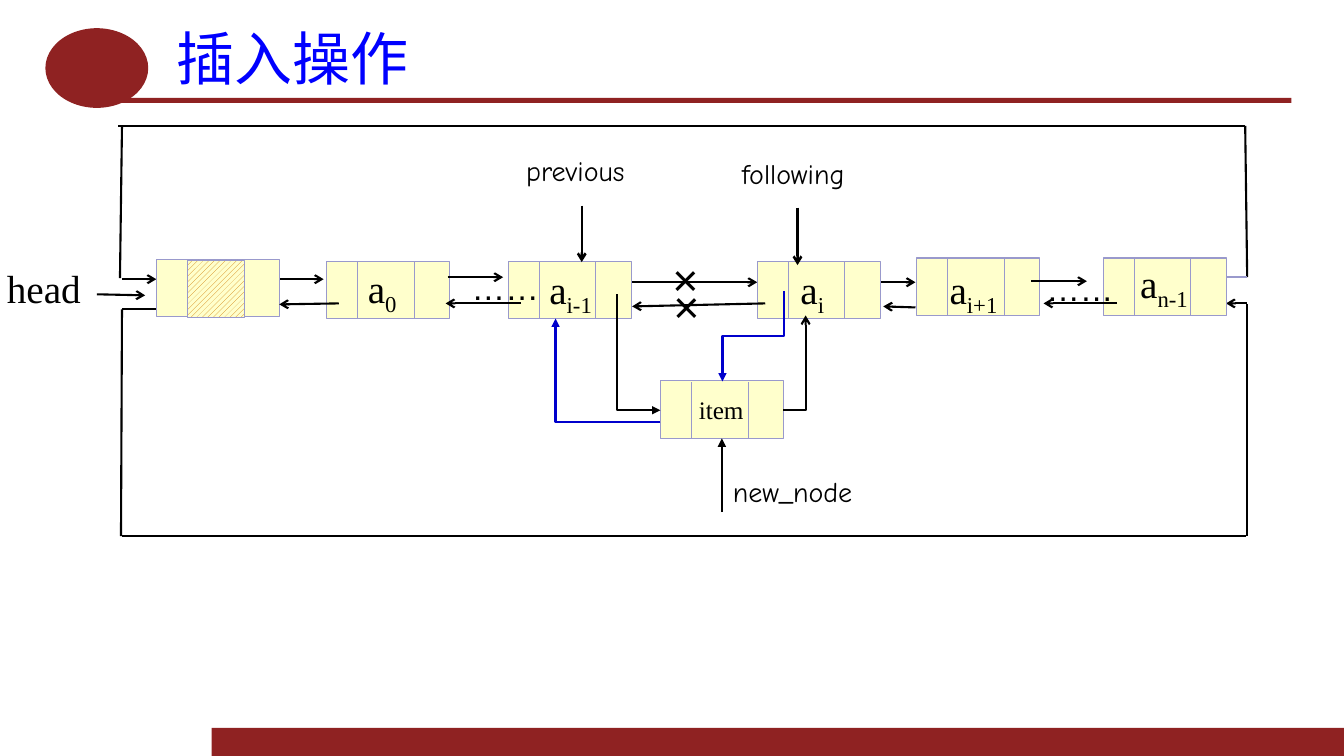
"""Build a slide showing insertion into a circular doubly linked list."""
from lxml import etree
from pptx import Presentation
from pptx.dml.color import RGBColor
from pptx.enum.dml import MSO_PATTERN
from pptx.enum.shapes import MSO_CONNECTOR, MSO_SHAPE
from pptx.enum.text import MSO_ANCHOR, PP_ALIGN
from pptx.oxml.ns import qn
from pptx.util import Inches, Pt

RECT, OVAL = MSO_SHAPE.RECTANGLE, MSO_SHAPE.OVAL
STRAIGHT, ELBOW = MSO_CONNECTOR.STRAIGHT, MSO_CONNECTOR.ELBOW
HATCH = MSO_PATTERN.WIDE_UPWARD_DIAGONAL
MIDDLE, JUSTIFY = MSO_ANCHOR.MIDDLE, PP_ALIGN.JUSTIFY

THEME = {
    "red": "8F2222", "title": "0000FF", "ink": "000000", "node": "FFFFCC",
    "edge": "9999CC", "hatch": "D07E06", "new": "0000CC",
    "serif": "Times New Roman", "sans": "Arial", "hand": "Comic Neue",
    "cjk": "Noto Sans CJK SC",
    "title_pt": 41.4, "cross_pt": 32, "node_pt": 28, "dots_pt": 24,
    "name_pt": 20, "item_pt": 18,
    "thin": 0.75, "wire": 1.5, "pointer": 1.75,
}
NODE_W, NODE_H = 1.22, 0.57
DIVIDERS = (0.31, 0.87)
SUBSCRIPT = "-25000"

DECOR = [
    (RECT, 2.1, 7.22, 11.23, 0.28),
    (RECT, 1.18, 0.97, 11.63, 0.05),
    (OVAL, 0.45, 0.28, 1.02, 0.79),
]
TITLE = ("插入操作", 1.62, 0.21, 11.19, 0.71)
NODES = {
    "head": (1.55, 2.57), "a0": (3.24, 2.59), "previous": (5.04, 2.59),
    "following": (7.51, 2.59), "next": (9.09, 2.56), "last": (10.94, 2.56),
    "item": (6.55, 3.78),
}
HATCHED = (1.86, 2.58, 0.57, 0.57)
LOOP = [
    (12.37, 3.02, 12.37, 5.32), (1.21, 3.07, 1.55, 3.07),
    (12.36, 5.32, 1.21, 5.32), (1.21, 3.07, 1.2, 5.32),
    (12.35, 1.25, 1.17, 1.25), (1.21, 1.25, 1.19, 2.76),
    (12.35, 1.25, 12.37, 2.75),
]
LAST_LINK = (11.92, 2.75, 12.37, 2.75)
BACK_ARROWS = [
    (2.77, 2.77, 3.21, 2.77), (6.17, 2.8, 7.51, 2.8),
    (8.64, 2.8, 9.08, 2.8), (1.21, 2.77, 1.55, 2.77),
    (0.96, 2.92, 1.44, 2.93), (9.08, 3.05, 8.76, 3.04),
    (12.37, 3.01, 12.16, 3.01),
]
FRONT_ARROWS = [
    (5.17, 3.01, 4.42, 3.01), (4.44, 2.75, 4.99, 2.75),
    (11.08, 3.01, 10.35, 3.01), (10.23, 2.79, 10.78, 2.79),
    (7.59, 3.01, 6.27, 3.04), (3.36, 3.01, 2.77, 3.02),
]
POINTERS = [(5.77, 2.04, 5.77, 2.6), (7.91, 2.06, 7.91, 2.63)]
NEW_POINTER = (7.16, 5.08, 7.16, 4.35)
BENDS = [
    ("bentConnector2", (7.77, 4.07, 7.99, 3.13), 0, "ink", "arrow"),
    ("bentConnector2", (6.19, 3.28, 5.76, 4.43), 270, "ink", "triangle"),
    ("bentConnector3", (7.02, 3.03, 7.92, 3.64), 90, "new", "triangle"),
    ("bentConnector2", (5.51, 3.16, 6.55, 4.19), 180, "new", "triangle"),
]
BENDS[1] = ("bentConnector2", (6.91, 3.28, 5.76, 3.71), 270, "ink", "triangle")
LABELS = [
    ("head", "", -0.03, 2.57, 0.94, 0.57, "serif", "node_pt"),
    ("……", "", 4.58, 2.6, 0.88, 0.5, "sans", "dots_pt"),
    ("……", "", 10.28, 2.61, 0.88, 0.5, "sans", "dots_pt"),
    ("a", "0", 3.55, 2.57, 0.51, 0.57, "serif", "node_pt"),
    ("a", "i", 7.84, 2.58, 0.45, 0.57, "serif", "node_pt"),
    ("a", "n-1", 11.21, 2.52, 0.95, 0.57, "serif", "node_pt"),
    ("a", "i-1", 5.35, 2.58, 0.67, 0.57, "serif", "node_pt"),
    ("a", "i+1", 9.32, 2.58, 0.73, 0.57, "serif", "node_pt"),
    (" item", "", 6.77, 3.86, 0.71, 0.4, "serif", "item_pt"),
    ("previous", "", 5.12, 1.47, 1.29, 0.44, "hand", "name_pt"),
    ("following", "", 7.26, 1.5, 1.36, 0.44, "hand", "name_pt"),
    ("new_node", "", 7.17, 4.66, 1.48, 0.44, "hand", "name_pt"),
    ("×", "", 6.57, 2.45, 0.65, 0.64, "sans", "cross_pt"),
    ("×", "", 6.58, 2.72, 0.65, 0.64, "sans", "cross_pt"),
]
WRAPPED = ("……", "n-1")


def color(name):
    return RGBColor.from_string(THEME[name])


def add_box(shapes, kind, box, fill, edge=None):
    sp = shapes.add_shape(kind, *map(Inches, box))
    sp.shadow.inherit = False
    sp.fill.solid()
    sp.fill.fore_color.rgb = color(fill)
    if edge:
        sp.line.color.rgb = color(edge)
        sp.line.width = Pt(THEME["thin"])
    else:
        sp.line.fill.background()
    return sp


def add_line(shapes, ends, ink="ink", width="wire", arrow=None, kind=STRAIGHT):
    line = shapes.add_connector(kind, *map(Inches, ends))
    line.line.color.rgb = color(ink)
    line.line.width = Pt(THEME[width])
    props = line._element.spPr
    etree.SubElement(props, qn("a:effectLst"))
    if arrow:
        etree.SubElement(props.find(qn("a:ln")), qn("a:tailEnd"), type=arrow)
    return line


def add_bend(shapes, preset, ends, turn, ink, arrow):
    bend = add_line(shapes, ends, ink, arrow=arrow, kind=ELBOW)
    props = bend._element.spPr
    props.find(qn("a:prstGeom")).set("prst", preset)
    props.find(qn("a:xfrm")).set("rot", str(turn * 60000))


def add_node(shapes, x, y):
    group = shapes.add_group_shape().shapes
    sp = add_box(group, RECT, (x, y, NODE_W, NODE_H), "node", "edge")
    for dx in DIVIDERS:
        add_line(group, (x + dx, y + 0.01, x + dx, y + NODE_H), "edge", "thin")
    return sp


def add_run(p, text, font, size, ink="ink"):
    r = p.add_run()
    r.text = text
    r.font.name = THEME[font]
    r.font.size = Pt(THEME[size])
    r.font.color.rgb = color(ink)
    return r


def add_label(shapes, text, sub, x, y, w, h, font, size):
    tf = shapes.add_textbox(*map(Inches, (x, y, w, h))).text_frame
    tf.word_wrap = text in WRAPPED or sub in WRAPPED
    p = tf.paragraphs[0]
    add_run(p, text, font, size)
    if sub:
        r = add_run(p, sub, font, size)
        r.font._element.set("baseline", SUBSCRIPT)


def add_title(shapes, text, *box):
    tf = shapes.add_textbox(*map(Inches, box)).text_frame
    tf.word_wrap = True
    tf.vertical_anchor = MIDDLE
    tf.margin_left = tf.margin_right = Inches(0.13)
    tf.margin_top = tf.margin_bottom = Inches(0.06)
    p = tf.paragraphs[0]
    p.alignment = JUSTIFY
    r = add_run(p, text, "cjk", "title_pt", "title")
    etree.SubElement(r.font._element, qn("a:ea"), typeface=THEME["cjk"])


def main():
    prs = Presentation()
    prs.slide_width, prs.slide_height = Inches(13.33), Inches(7.5)
    s = prs.slides.add_slide(prs.slide_layouts[6]).shapes
    for kind, *box in DECOR:
        add_box(s, kind, box, "red")
    add_title(s, *TITLE)
    for ends in BACK_ARROWS:
        add_line(s, ends, arrow="arrow")
    for ends in LOOP:
        add_line(s, ends)
    add_line(s, LAST_LINK, "edge")
    nodes = {name: add_node(s, *at) for name, at in NODES.items()}
    hatched = add_box(s, RECT, HATCHED, "node", "edge")
    hatched.fill.patterned()
    hatched.fill.pattern = HATCH
    hatched.fill.fore_color.rgb = color("hatch")
    hatched.fill.back_color.rgb = color("node")
    for label in LABELS:
        add_label(s, *label)
    for ends in FRONT_ARROWS:
        add_line(s, ends, arrow="arrow")
    for ends in POINTERS:
        add_line(s, ends, width="pointer", arrow="arrow")
    for bend in BENDS:
        add_bend(s, *bend)
    new_pointer = add_line(s, NEW_POINTER, arrow="triangle")
    new_pointer.end_connect(nodes["item"], 2)
    prs.save("out.pptx")


if __name__ == "__main__":
    main()
